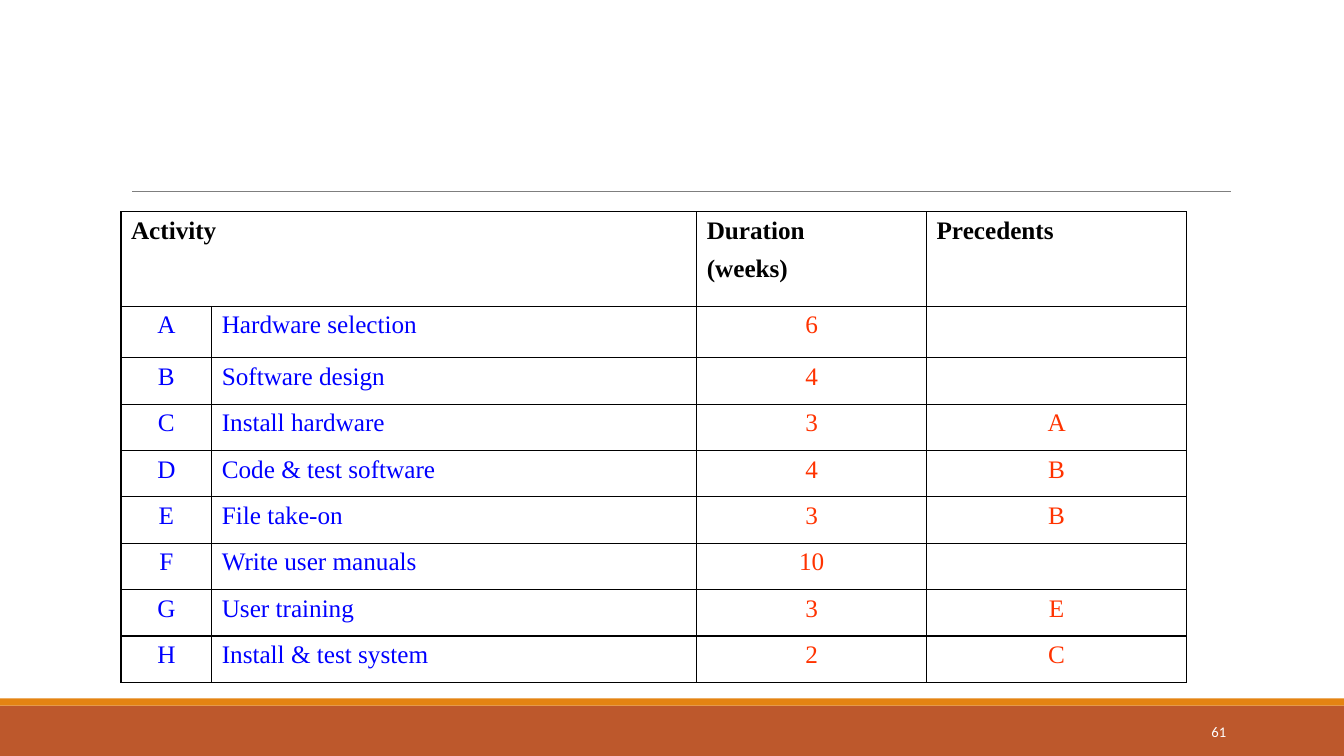
"""Build the slide with the table of activities, durations and precedents."""
from dataclasses import dataclass

import lxml.etree
import pptx
import pptx.dml.color
import pptx.enum.shapes
import pptx.enum.text
import pptx.oxml.ns
import pptx.util

Inches = pptx.util.Inches
Pt = pptx.util.Pt
ALIGN = pptx.enum.text.PP_ALIGN
COLORS = {
    "footer": "BD582C",
    "stripe": "E48312",
    "rule": "7F7F7F",
    "black": "000000",
    "activity": "0000FF",
    "value": "FF3300",
    "white": "FFFFFF",
}


@dataclass
class Band:
    top: float
    height: float
    color: str


@dataclass
class Activity:
    code: str
    name: str
    weeks: int
    precedent: str = ""


BANDS = [Band(7, 0.5, "footer"), Band(6.93, 0.07, "stripe")]
HEADERS = ["Activity", "", "Duration\n(weeks)", "Precedents"]
ACTIVITIES = [
    Activity("A", "Hardware selection", 6),
    Activity("B", "Software design", 4),
    Activity("C", "Install hardware", 3, "A"),
    Activity("D", "Code & test software", 4, "B"),
    Activity("E", "File take-on", 3, "B"),
    Activity("F", "Write user manuals", 10),
    Activity("G", "User training", 3, "E"),
    Activity("H", "Install & test system", 2, "C"),
]
COL_WIDTHS = [0.9, 4.81, 2.28, 2.58]
ROW_HEIGHTS = [0.94, 0.51] + [0.46] * 7
COL_ALIGNS = [ALIGN.CENTER, ALIGN.LEFT, ALIGN.CENTER, ALIGN.CENTER]
COL_COLORS = ["activity", "activity", "value", "value"]


def rgb(name: str) -> pptx.dml.color.RGBColor:
    return pptx.dml.color.RGBColor.from_string(COLORS[name])


def style(p, font: str, size: float, color: str, align, bold: bool = False) -> None:
    p.alignment = align
    p.font.name = font
    p.font.size = Pt(size)
    p.font.bold = bold
    p.font.color.rgb = rgb(color)


def draw_band(slide, band: Band) -> None:
    sp = slide.shapes.add_shape(
        pptx.enum.shapes.MSO_SHAPE.RECTANGLE,
        0, Inches(band.top), Inches(13.33), Inches(band.height))
    sp.shadow.inherit = False
    sp.fill.solid()
    sp.fill.fore_color.rgb = rgb(band.color)
    sp.line.fill.background()


def draw_rule(slide) -> None:
    line = slide.shapes.add_connector(
        pptx.enum.shapes.MSO_CONNECTOR.STRAIGHT,
        Inches(1.31), Inches(1.9), Inches(12.21), Inches(1.9))
    line.line.color.rgb = rgb("rule")
    line.line.width = Pt(0.75)
    lxml.etree.SubElement(line._element.spPr, pptx.oxml.ns.qn("a:effectLst"))


def set_borders(cell) -> None:
    qn = pptx.oxml.ns.qn
    tc_pr = cell._tc.get_or_add_tcPr()
    for side in ("lnL", "lnR", "lnT", "lnB"):
        ln = lxml.etree.SubElement(tc_pr, qn(f"a:{side}"), w=str(Pt(1)))
        fill = lxml.etree.SubElement(ln, qn("a:solidFill"))
        lxml.etree.SubElement(fill, qn("a:srgbClr"), val=COLORS["black"])


def fill_cell(cell, text: str, color: str, align, bold: bool) -> None:
    set_borders(cell)
    cell.fill.background()
    cell.text = text
    for i, p in enumerate(cell.text_frame.paragraphs):
        style(p, "Times New Roman", 18, color, align, bold)
        if i:
            p.space_before = Pt(7.2)


def draw_table(slide) -> None:
    rows = [HEADERS] + [[a.code, a.name, str(a.weeks), a.precedent] for a in ACTIVITIES]
    table = slide.shapes.add_table(
        len(rows), len(COL_WIDTHS), Inches(1.2), Inches(2.1),
        Inches(sum(COL_WIDTHS)), Inches(sum(ROW_HEIGHTS))).table
    table.first_row = False
    table.horz_banding = False
    for col, width in zip(table.columns, COL_WIDTHS):
        col.width = Inches(width)
    for row, height in zip(table.rows, ROW_HEIGHTS):
        row.height = Inches(height)
    for r, texts in enumerate(rows):
        for c, text in enumerate(texts):
            color, align = (COL_COLORS[c], COL_ALIGNS[c]) if r else ("black", ALIGN.LEFT)
            fill_cell(table.cell(r, c), text, color, align, bold=r == 0)
    table.cell(0, 0).merge(table.cell(0, 1))


def draw_slide_number(slide) -> None:
    tf = slide.shapes.add_textbox(
        Inches(10.83), Inches(7.06), Inches(1.43), Inches(0.4)).text_frame
    tf.word_wrap = True
    tf.vertical_anchor = pptx.enum.text.MSO_ANCHOR.MIDDLE
    tf.text = "61"
    style(tf.paragraphs[0], "Calibri", 10.5, "white", ALIGN.RIGHT)


def main() -> None:
    prs = pptx.Presentation()
    prs.slide_width = Inches(13.33)
    prs.slide_height = Inches(7.5)
    slide = prs.slides.add_slide(prs.slide_layouts[6])
    for band in BANDS:
        draw_band(slide, band)
    draw_rule(slide)
    draw_table(slide)
    draw_slide_number(slide)
    prs.save("out.pptx")


if __name__ == "__main__":
    main()
